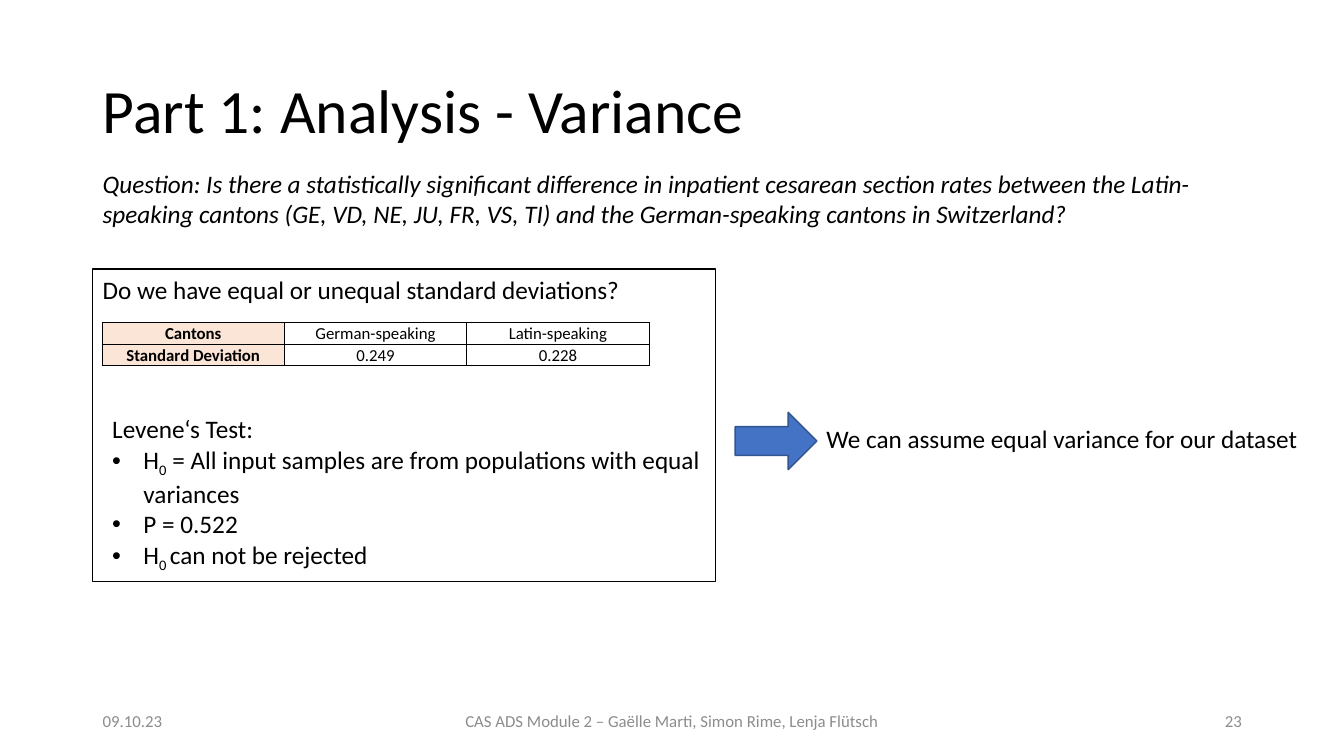
from lxml import etree
from pptx import Presentation
from pptx.dml.color import RGBColor
from pptx.enum.shapes import MSO_SHAPE
from pptx.enum.text import MSO_ANCHOR, MSO_AUTO_SIZE, PP_ALIGN
from pptx.oxml.ns import qn
from pptx.util import Inches, Pt

LEFT, CENTER, RIGHT = PP_ALIGN.LEFT, PP_ALIGN.CENTER, PP_ALIGN.RIGHT
TOP, MIDDLE = MSO_ANCHOR.TOP, MSO_ANCHOR.MIDDLE
RECT, ARROW = MSO_SHAPE.RECTANGLE, MSO_SHAPE.RIGHT_ARROW
NO_FIT = MSO_AUTO_SIZE.NONE

BLACK = RGBColor(0x00, 0x00, 0x00)
GREY = RGBColor(0x8C, 0x8C, 0x8C)
PEACH = RGBColor(0xFB, 0xE5, 0xD6)
BLUE = RGBColor(0x44, 0x72, 0xC4)
DARK_BLUE = RGBColor(0x32, 0x54, 0x91)


def add_runs(p, text, size=18, color=BLACK, bold=False, italic=False,
             align=LEFT, spacing=1.0):
    """Fill a paragraph; parts between underscores become subscripts."""
    p.alignment, p.line_spacing = align, spacing
    p.space_before = p.space_after = Pt(0)
    for i, part in enumerate(text.split("_")):
        r = p.add_run()
        r.text = part
        r.font.name, r.font.size = "Calibri", Pt(size)
        r.font.bold, r.font.italic = bold, italic
        r.font.color.rgb = color
        if i % 2:
            r.font._element.set("baseline", "-25000")


def set_bullet(p, char=None, indent=0.0):
    pPr = p._p.get_or_add_pPr()
    pPr.set("marL", str(Inches(indent)))
    pPr.set("indent", str(-Inches(indent)))
    if char:
        etree.SubElement(pPr, qn("a:buFont")).set("typeface", "Arial")
        etree.SubElement(pPr, qn("a:buChar")).set("char", char)
    else:
        etree.SubElement(pPr, qn("a:buNone"))


def set_borders(cell, color, width):
    tcPr = cell._tc.get_or_add_tcPr()
    for i, side in enumerate(("a:lnL", "a:lnR", "a:lnT", "a:lnB")):
        ln = etree.Element(qn(side), w=str(Pt(width)))
        fill = etree.SubElement(ln, qn("a:solidFill"))
        etree.SubElement(fill, qn("a:srgbClr")).set("val", str(color))
        tcPr.insert(i, ln)


class SlideBuilder:
    """Current slide; all boxes are (x, y, w, h) in percent of its size."""

    def __init__(self, prs, layout):
        self.width, self.height = prs.slide_width, prs.slide_height
        self.slide = prs.slides.add_slide(prs.slide_layouts[layout])
        self.shapes = self.slide.shapes

    def box(self, x, y, w, h):
        return (int(self.width * x / 100), int(self.height * y / 100),
                int(self.width * w / 100), int(self.height * h / 100))

    def place(self, sp, box, anchor):
        sp.left, sp.top, sp.width, sp.height = self.box(*box)
        tf = sp.text_frame
        tf.word_wrap, tf.auto_size, tf.vertical_anchor = True, NO_FIT, anchor
        return tf

    def title(self, text, box):
        tf = self.place(self.shapes.title, box, MIDDLE)
        add_runs(tf.paragraphs[0], text, size=44, spacing=0.9)

    def body(self, heading, items, box):
        tf = self.place(self.slide.placeholders[1], box, TOP)
        add_runs(tf.paragraphs[0], heading)
        set_bullet(tf.paragraphs[0])
        for item in items:
            p = tf.add_paragraph()
            add_runs(p, item)
            set_bullet(p, "•", 0.31)

    def text(self, text, box, anchor=TOP, **style):
        sp = self.shapes.add_textbox(*self.box(*box))
        add_runs(self.place(sp, box, anchor).paragraphs[0], text, **style)

    def shape(self, kind, box, line, fill=None):
        sp = self.shapes.add_shape(kind, *self.box(*box))
        sp.shadow.inherit = False
        sp.line.color.rgb, sp.line.width = line, Pt(1)
        if fill is None:
            sp.fill.background()
        else:
            sp.fill.solid()
            sp.fill.fore_color.rgb = fill

    def table(self, rows, box):
        table = self.shapes.add_table(len(rows), len(rows[0]), *self.box(*box)).table
        table.first_row = table.horz_banding = False
        for i, row in enumerate(rows):
            for j, text in enumerate(row):
                cell = table.cell(i, j)
                cell.margin_left = cell.margin_right = cell.margin_top = Inches(0.01)
                cell.margin_bottom = 0
                cell.vertical_anchor = MIDDLE
                is_label = j == 0
                if is_label:
                    cell.fill.solid()
                    cell.fill.fore_color.rgb = PEACH
                else:
                    cell.fill.background()
                set_borders(cell, BLACK, 1)
                add_runs(cell.text_frame.paragraphs[0], text, size=12,
                         bold=is_label, align=CENTER)


prs = Presentation()
prs.slide_width, prs.slide_height = Inches(13.33), Inches(7.5)
s = SlideBuilder(prs, layout=1)

MARGIN, CONTENT = 6.9, 86.25
INSET = 7.6
PANEL_TOP = 35.6

# Title and research question
s.title("Part 1: Analysis - Variance", (MARGIN, 5.33, CONTENT, 19.33))
s.text("Question: Is there a statistically significant difference in inpatient "
       "cesarean section rates between the Latin-speaking cantons (GE, VD, NE, JU, "
       "FR, VS, TI) and the German-speaking cantons in Switzerland?",
       (MARGIN, 21.6, CONTENT, 9.47), italic=True)

# Panel with standard deviations and test
s.shape(RECT, (MARGIN, PANEL_TOP, 46.35, 41.33), BLACK)
s.text("Do we have equal or unequal standard deviations?",
       (MARGIN, PANEL_TOP, CONTENT, 5.33))
s.table([("Cantons", "German-speaking", "Latin-speaking"),
         ("Standard Deviation", "0.249", "0.228")], (INSET, 42.67, 40.7, 5.7))
s.body("Levene‘s Test:",
       ["H_0_ = All input samples are from populations with equal variances",
        "P = 0.522",
        "H_0 _can not be rejected"], (INSET, 54.07, 46.6, 25.6))

# Conclusion
s.shape(ARROW, (54.7, 54.53, 6.08, 7.6), DARK_BLUE, BLUE)
s.text("We can assume equal variance for our dataset", (60.75, 55.33, 39.25, 5.33))

# Footer
footer = [("09.10.23", MARGIN, 22.5, LEFT),
          ("CAS ADS Module 2 – Gaëlle Marti, Simon Rime, Lenja Flütsch",
           33.13, 33.75, CENTER),
          ("23", 70.65, 22.5, RIGHT)]
for text, x, w, align in footer:
    s.text(text, (x, 92.67, w, 5.33), MIDDLE, size=12, color=GREY, align=align)

prs.save("out.pptx")
